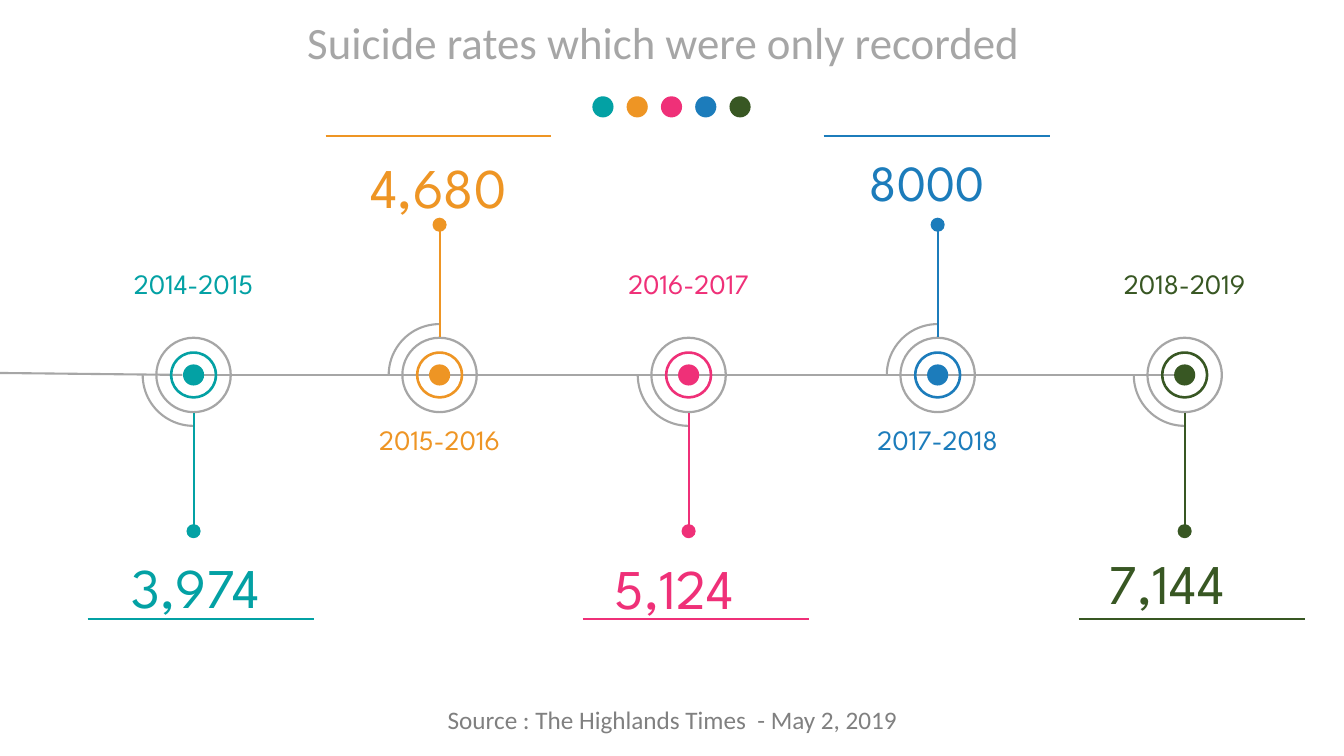
from dataclasses import dataclass
from itertools import pairwise

from lxml import etree
from pptx import Presentation
from pptx import util as u
from pptx.dml.color import RGBColor
from pptx.enum import shapes as s, text as t
from pptx.oxml.ns import qn


@dataclass(frozen=True)
class Theme:
    grey: str = "A6A6A6"
    source: str = "808080"
    teal: str = "03A1A4"
    orange: str = "EE9524"
    pink: str = "EF3078"
    blue: str = "1C7CBB"
    green: str = "385723"
    heading_font: str = "Calibri"
    figure_font: str = "League Spartan"
    title_size: int = 32
    source_size: int = 18
    year_size: int = 20
    stroke: float = 1.5


THEME = Theme()
TITLE = "Suicide rates which were only recorded"
SOURCE = "Source : The Highlands Times  - May 2, 2019"

# years, count, colour, node centre, count centre, count top, count size
PERIODS = [
    ("2014-2015", "3,974", THEME.teal, 192, 194, 543, 40),
    ("2015-2016", "4,680", THEME.orange, 436, 435, 146, 40),
    ("2016-2017", "5,124", THEME.pink, 683, 669, 544, 40),
    ("2017-2018", "8000", THEME.blue, 930, 920, 145, 36),
    ("2018-2019", "7,144", THEME.green, 1175, 1157, 539, 40),
]
AXIS_Y = 372
RULE_WIDTH = 224
YEAR_WIDTH = 166


def px(length):
    """Turn px, at 100 to the inch, into EMU."""
    return u.Emu(round(length * 9144))


prs = Presentation()
prs.slide_width, prs.slide_height = px(1333), px(750)
slide = prs.slides.add_slide(prs.slide_layouts[5])


def add_line(x1, y1, x2, y2, color):
    line = slide.shapes.add_connector(
        s.MSO_CONNECTOR.STRAIGHT, px(x1), px(y1), px(x2), px(y2))
    line.line.color.rgb = RGBColor.from_string(color)
    line.line.width = u.Pt(THEME.stroke)
    etree.SubElement(line._element.spPr, qn("a:effectLst"))


def add_round(kind, x, y, size, color, parent=slide):
    """Add a filled round shape centred on x, y."""
    shape = parent.shapes.add_shape(
        kind, px(x - size / 2), px(y - size / 2), px(size), px(size))
    shape.shadow.inherit = False
    shape.fill.solid()
    shape.fill.fore_color.rgb = RGBColor.from_string(color)
    shape.line.fill.background()
    return shape


def add_ring(x, size, thickness, color):
    ring = add_round(s.MSO_SHAPE.DONUT, x, AXIS_Y, size, color)
    ring.adjustments[0] = thickness


def add_quarter_arc(x, above):
    arc = add_round(s.MSO_SHAPE.ARC, x, AXIS_Y, 101, THEME.grey)
    arc.fill.background()
    arc.line.color.rgb = RGBColor.from_string(THEME.grey)
    arc.line.width = u.Pt(THEME.stroke)
    arc.adjustments[0], arc.adjustments[1] = 54, 108
    arc.rotation = 90 if above else 0


def write(box, words, font, size, color):
    frame = box.text_frame
    frame.text = words
    frame.word_wrap = True
    frame.auto_size = t.MSO_AUTO_SIZE.NONE
    frame.vertical_anchor = t.MSO_ANCHOR.TOP
    paragraph = frame.paragraphs[0]
    paragraph.alignment = t.PP_ALIGN.CENTER
    run = paragraph.runs[0]
    run.font.name, run.font.size = font, u.Pt(size)
    run.font.color.rgb = RGBColor.from_string(color)


def add_text(center, top, width, height, words, font, size, color):
    box = slide.shapes.add_textbox(
        px(center - width / 2), px(top), px(width), px(height))
    write(box, words, font, size, color)


def add_period(years, count, color, x, count_x, count_top, count_size):
    """Add one node with its stem, years, count and rule."""
    above = count_top < AXIS_Y
    add_quarter_arc(x, above)
    add_round(s.MSO_SHAPE.OVAL, x, AXIS_Y, 21, color)
    add_ring(x, 47, 0.053, color)
    add_ring(x, 76, 0.029, THEME.grey)

    stem_start, stem_end = (334, 223) if above else (410, 527)
    add_line(x, stem_start, x, stem_end, color)
    add_round(s.MSO_SHAPE.OVAL, x, stem_end, 14, color)

    add_text(x, 414 if above else 259, YEAR_WIDTH, 44, years,
             THEME.figure_font, THEME.year_size, color)
    add_text(count_x, count_top, RULE_WIDTH, 77, count,
             THEME.figure_font, count_size, color)

    rule_x = x - RULE_WIDTH / 2 + (-1 if above else 7)
    rule_y = 135 if above else 614
    add_line(rule_x, rule_y, rule_x + RULE_WIDTH, rule_y, color)


title = slide.shapes.title
title.left, title.top, title.width, title.height = map(px, (257, 10, 802, 64))
write(title, TITLE, THEME.heading_font, THEME.title_size, THEME.grey)

add_line(0, 370, 181, AXIS_Y, THEME.grey)
for here, following in pairwise(PERIODS):
    add_line(here[3], AXIS_Y, following[3], AXIS_Y, THEME.grey)
for period in PERIODS:
    add_period(*period)

legend = slide.shapes.add_group_shape()
for i, period in enumerate(PERIODS):
    add_round(s.MSO_SHAPE.OVAL, 598 + 34 * i, 106, 21, period[2], legend)

add_text(667, 694, 910, 40, SOURCE,
         THEME.heading_font, THEME.source_size, THEME.source)

prs.save("out.pptx")
